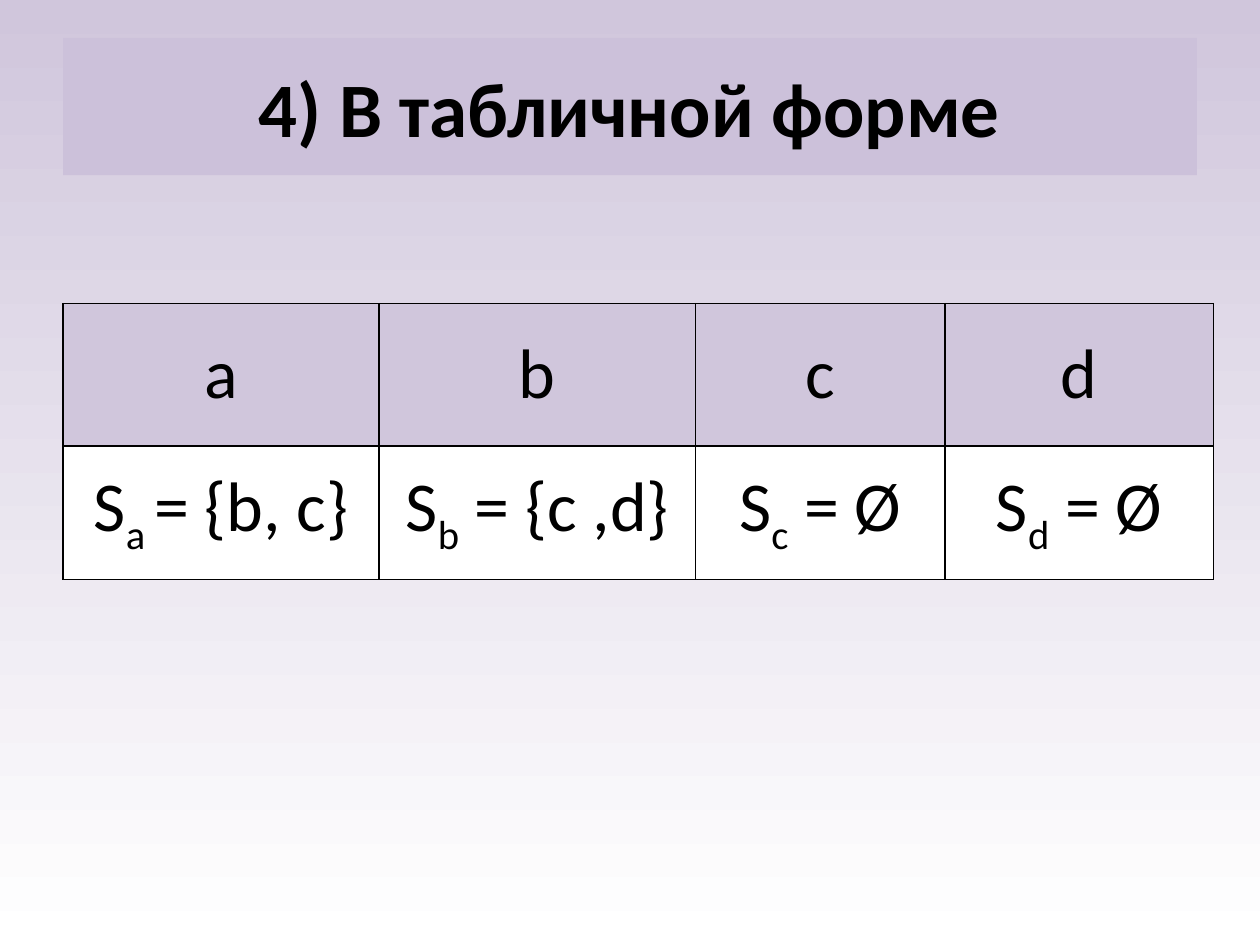
from dataclasses import dataclass

from lxml.etree import SubElement
from pptx import Presentation
from pptx.dml.color import RGBColor
from pptx.enum.text import MSO_ANCHOR, PP_ALIGN
from pptx.oxml.ns import qn
from pptx.slide import Slide
from pptx.table import _Cell
from pptx.text.text import _Paragraph
from pptx.util import Inches, Pt

BLACK = RGBColor(0x00, 0x00, 0x00)
WHITE = RGBColor(0xFF, 0xFF, 0xFF)
LILAC = RGBColor(0xD0, 0xC6, 0xDC)
TITLE_LILAC = RGBColor(0xCC, 0xC1, 0xDA)
FONT = "Calibri"
LEFT = 0.5
ROW_HEIGHTS = (1.13, 1.06)


@dataclass(frozen=True)
class Span:
    text: str
    subscript: bool = False


@dataclass(frozen=True)
class SetColumn:
    width: float
    vertex: str
    index: str
    value: str

    def formula(self) -> list[Span]:
        return [Span("S"), Span(self.index, True), Span(self.value)]


COLUMNS = [
    SetColumn(2.51, "a", "a ", "= {b, c}"),
    SetColumn(2.51, "b", "b", " = {c ,d}"),
    SetColumn(1.98, "c", "c", " = Ø"),
    SetColumn(2.13, "d", "d", " = Ø"),
]


def write(para: _Paragraph, spans: list[Span], size: int, bold: bool = False) -> None:
    para.alignment = PP_ALIGN.CENTER
    for span in spans:
        run = para.add_run()
        run.text = span.text
        run.font.name = FONT
        run.font.size = Pt(size)
        run.font.bold = bold
        run.font.color.rgb = BLACK
        if span.subscript:
            run.font._element.set("baseline", "-25000")


def add_borders(cell: _Cell) -> None:
    properties = cell._tc.get_or_add_tcPr()
    for side in ("lnL", "lnR", "lnT", "lnB"):
        line = SubElement(properties, qn(f"a:{side}"), w=str(Pt(1)))
        fill = SubElement(line, qn("a:solidFill"))
        SubElement(fill, qn("a:srgbClr"), val=str(BLACK))


def fill_cell(cell: _Cell, spans: list[Span], color: RGBColor) -> None:
    add_borders(cell)
    cell.fill.solid()
    cell.fill.fore_color.rgb = color
    cell.vertical_anchor = MSO_ANCHOR.MIDDLE
    cell.margin_left = cell.margin_right = Inches(0.07)
    cell.margin_top = cell.margin_bottom = 0
    write(cell.text_frame.paragraphs[0], spans, 40)


def paint_background(page: Slide) -> None:
    fill = page.background.fill
    fill.gradient()
    fill.gradient_angle = 90
    for stop, color in zip(fill.gradient_stops, (WHITE, LILAC)):
        stop.color.rgb = color


def add_title(page: Slide) -> None:
    title = page.shapes.title
    title.left, title.top = Inches(LEFT), Inches(0.3)
    title.width, title.height = Inches(9), Inches(1.09)
    title.fill.solid()
    title.fill.fore_color.rgb = TITLE_LILAC
    title.text_frame.vertical_anchor = MSO_ANCHOR.MIDDLE
    write(title.text_frame.paragraphs[0], [Span("4) В табличной форме")], 44, bold=True)


def add_set_table(page: Slide) -> None:
    width = sum(column.width for column in COLUMNS)
    frame = page.shapes.add_table(
        len(ROW_HEIGHTS), len(COLUMNS),
        Inches(LEFT), Inches(2.41), Inches(width), Inches(sum(ROW_HEIGHTS)),
    )
    table = frame.table
    for row, height in zip(table.rows, ROW_HEIGHTS):
        row.height = Inches(height)
    for number, column in enumerate(COLUMNS):
        table.columns[number].width = Inches(column.width)
        fill_cell(table.cell(0, number), [Span(column.vertex)], LILAC)
        fill_cell(table.cell(1, number), column.formula(), WHITE)


def main() -> None:
    deck = Presentation()
    deck.slide_width, deck.slide_height = Inches(10), Inches(7.5)
    page = deck.slides.add_slide(deck.slide_layouts[5])
    paint_background(page)
    add_title(page)
    add_set_table(page)
    deck.save("out.pptx")


if __name__ == "__main__":
    main()
